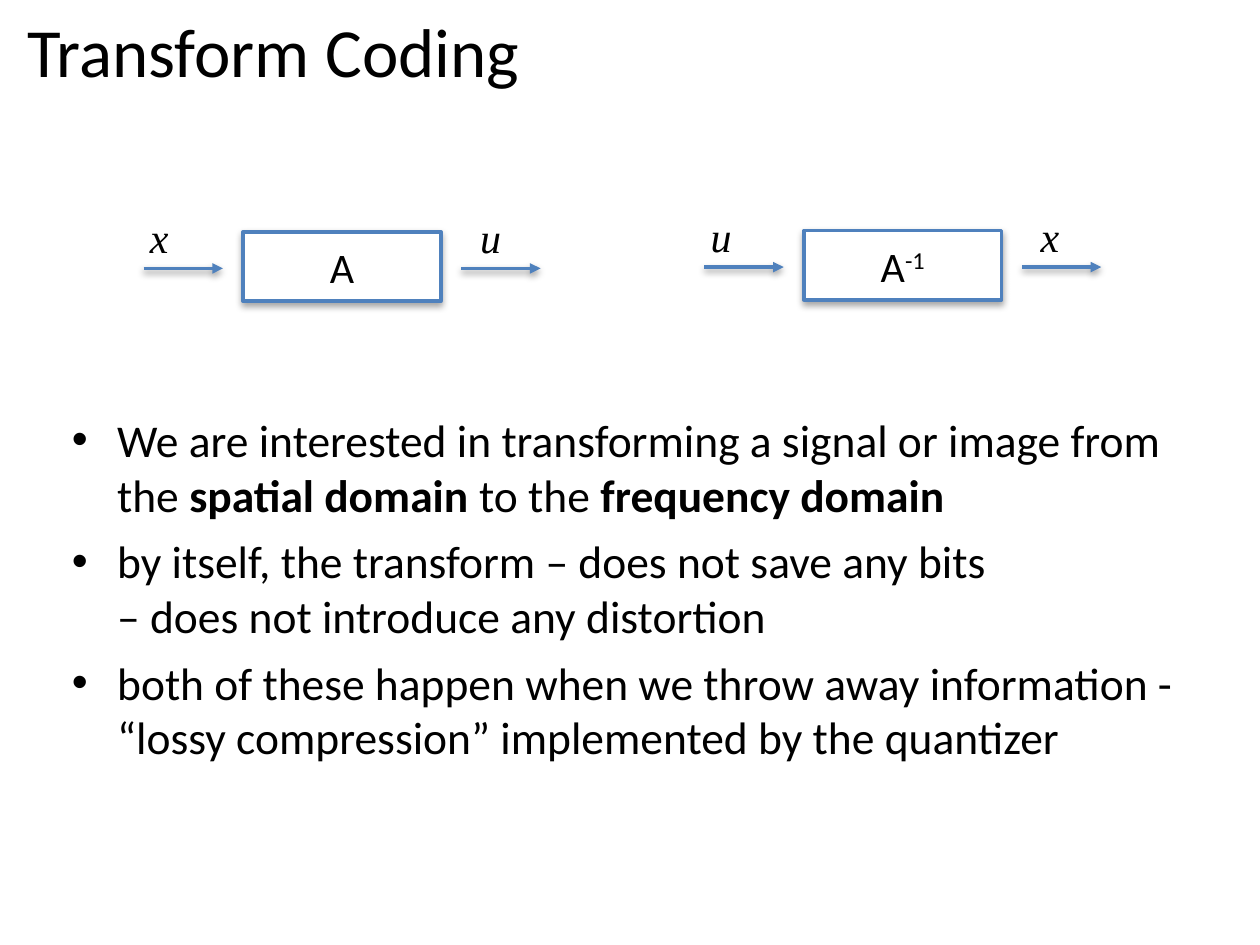
from dataclasses import dataclass

from lxml import etree
from pptx import Presentation
from pptx import util as u
from pptx.dml.color import RGBColor
from pptx.enum import shapes, text
from pptx.oxml.ns import qn


@dataclass(frozen=True)
class Theme:
    ink: str = "000000"
    fill: str = "FFFFFF"
    line: str = "4F81BD"
    sans: str = "Calibri"
    serif: str = "Times New Roman"
    title: float = 39.4
    body: float = 26
    label: float = 24
    stroke: float = 2
    inset: float = 0.07
    indent: float = 0.36


def rgb(code):
    return RGBColor.from_string(code)


def node(parent, tag, **attrs):
    return etree.SubElement(parent, qn(tag), {k: str(v) for k, v in attrs.items()})


def write(para, words, size, font, color, bold=False, italic=False, base=0):
    """Add words to a paragraph; a newline becomes a line break."""
    for i, line in enumerate(words.split("\n")):
        if i:
            para.add_line_break()
        run = para.add_run()
        run.text = line
        face = run.font
        face.size, face.name = u.Pt(size), font
        face.bold, face.italic = bold, italic
        face.color.rgb = rgb(color)
        if base:
            run._r.get_or_add_rPr().set("baseline", str(base * 1000))


def shade(props, alpha):
    """Give shape properties a soft shadow that falls straight down."""
    glow = node(node(props, "a:effectLst"), "a:outerShdw",
                blurRad=u.Pt(4), dist=u.Pt(2), dir=90 * 60000, rotWithShape=0)
    tint = node(glow, "a:srgbClr", val="000000")
    node(tint, "a:alpha", val=alpha * 1000)


class Deck:
    def __init__(self, theme):
        self.theme = theme
        self.file = Presentation()
        self.file.slide_width, self.file.slide_height = u.Inches(10), u.Inches(7.5)
        self.slide = self.file.slides.add_slide(self.file.slide_layouts[6])

    def frame(self, shape, anchor, wrap=True):
        frame = shape.text_frame
        frame.word_wrap = wrap
        frame.vertical_anchor = anchor
        frame.margin_left = frame.margin_right = u.Inches(self.theme.inset)
        frame.margin_top = frame.margin_bottom = u.Inches(self.theme.inset)
        return frame

    def text(self, x, y, w, h, anchor=text.MSO_ANCHOR.TOP, wrap=True):
        box = self.slide.shapes.add_textbox(*map(u.Inches, (x, y, w, h)))
        return self.frame(box, anchor, wrap)

    def title(self, words):
        t = self.theme
        frame = self.text(0.15, 0, 9, 0.8, text.MSO_ANCHOR.MIDDLE)
        write(frame.paragraphs[0], words, t.title, t.sans, t.ink)

    def list(self, x, y, w, h, items):
        """Each item is a list of (words, bold) pairs."""
        t = self.theme
        frame = self.text(x, y, w, h)
        for i, item in enumerate(items):
            para = frame.add_paragraph() if i else frame.paragraphs[0]
            para.space_before = u.Pt(7)
            props = para._p.get_or_add_pPr()
            props.set("marL", str(u.Inches(t.indent)))
            props.set("indent", str(-u.Inches(t.indent)))
            node(props, "a:buFont", typeface="Arial")
            node(props, "a:buChar", char="•")
            for words, bold in item:
                write(para, words, t.body, t.sans, t.ink, bold=bold)

    def box(self, x, y, w, h, name, power):
        t = self.theme
        box = self.slide.shapes.add_shape(
            shapes.MSO_SHAPE.RECTANGLE, *map(u.Inches, (x, y, w, h)))
        box.fill.solid()
        box.fill.fore_color.rgb = rgb(t.fill)
        box.line.color.rgb = rgb(t.line)
        box.line.width = u.Pt(t.stroke)
        shade(box._element.spPr, 35)
        para = self.frame(box, text.MSO_ANCHOR.MIDDLE).paragraphs[0]
        para.alignment = text.PP_ALIGN.CENTER
        write(para, name, t.label, t.sans, t.ink)
        if power:
            write(para, power, t.label, t.sans, t.ink, base=30)

    def arrow(self, x, y, w):
        wire = self.slide.shapes.add_connector(
            shapes.MSO_CONNECTOR.STRAIGHT, *map(u.Inches, (x, y, x + w, y)))
        wire.line.color.rgb = rgb(self.theme.line)
        wire.line.width = u.Pt(self.theme.stroke)
        node(wire.line._get_or_add_ln(), "a:tailEnd", type="triangle")
        shade(wire._element.spPr, 38)

    def label(self, x, y, words):
        t = self.theme
        frame = self.text(x, y, 0.3, 0.55, wrap=False)
        write(frame.paragraphs[0], words, t.label, t.serif, t.ink, italic=True)

    def stage(self, x, y, source, name, result, power=""):
        """Draw a transform block with its input and output signals."""
        self.box(x + 0.81, y + 0.23, 1.57, 0.55, name, power)
        for dx, signal in ((0, source), (2.62, result)):
            self.label(x + dx, y, signal)
        for dx in (0.02, 2.54):
            self.arrow(x + dx, y + 0.52, 0.63)


def main():
    deck = Deck(Theme())
    deck.title("Transform Coding")

    # Forward and inverse transforms
    deck.stage(1.12, 1.61, "x", "A", "u")
    deck.stage(5.57, 1.6, "u", "A", "x", power="-1")

    # Remarks
    deck.list(0.5, 3.2, 9, 3.26, [
        [("We are interested in transforming a signal or image from the ", False),
         ("spatial domain ", True), ("to the ", False), ("frequency domain", True)],
        [("by itself, the transform – does not save any bits\n"
          "– does not introduce any distortion", False)],
        [("both of these happen when we throw away information - "
          "“lossy compression” implemented by the quantizer", False)],
    ])
    deck.file.save("out.pptx")


if __name__ == "__main__":
    main()
